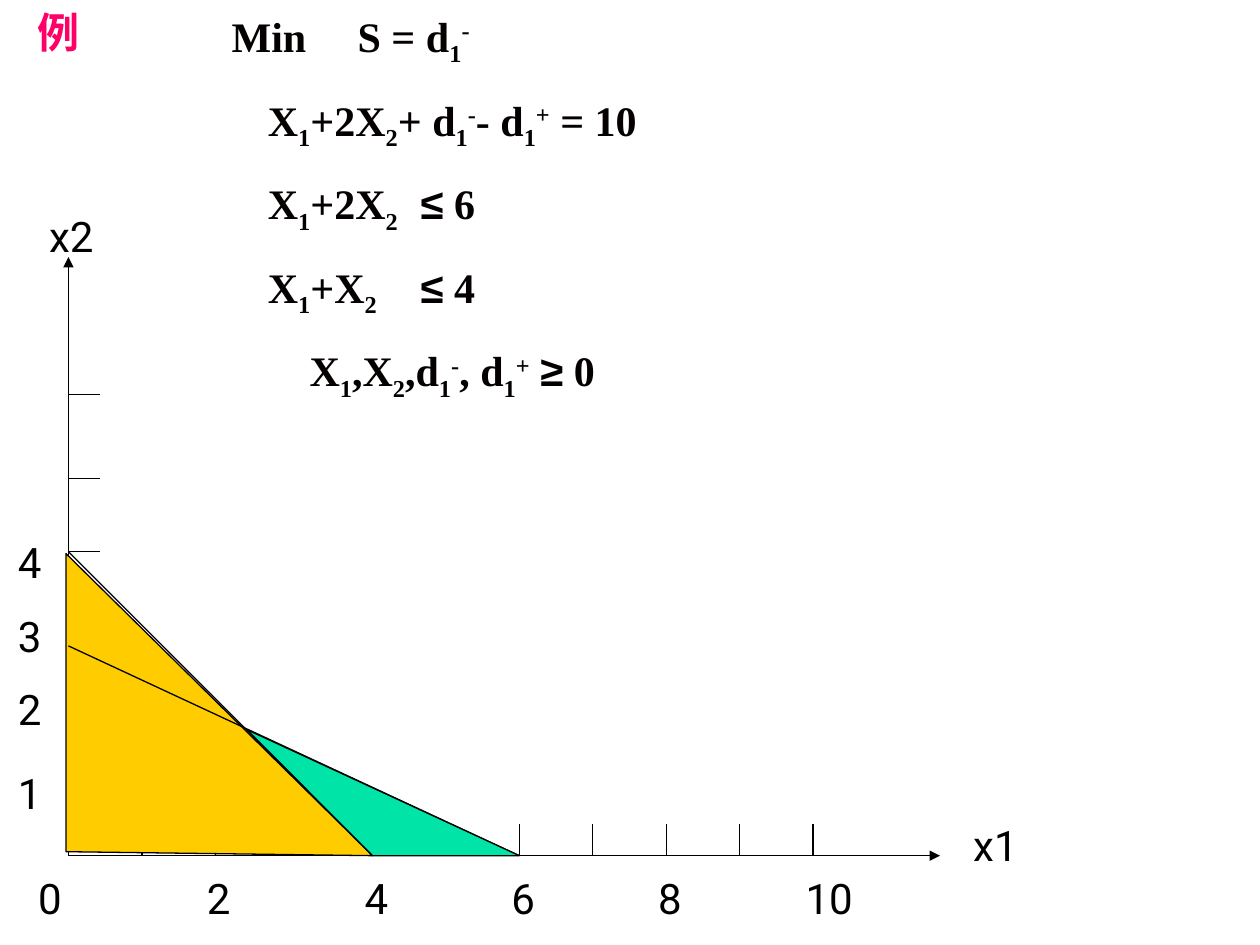
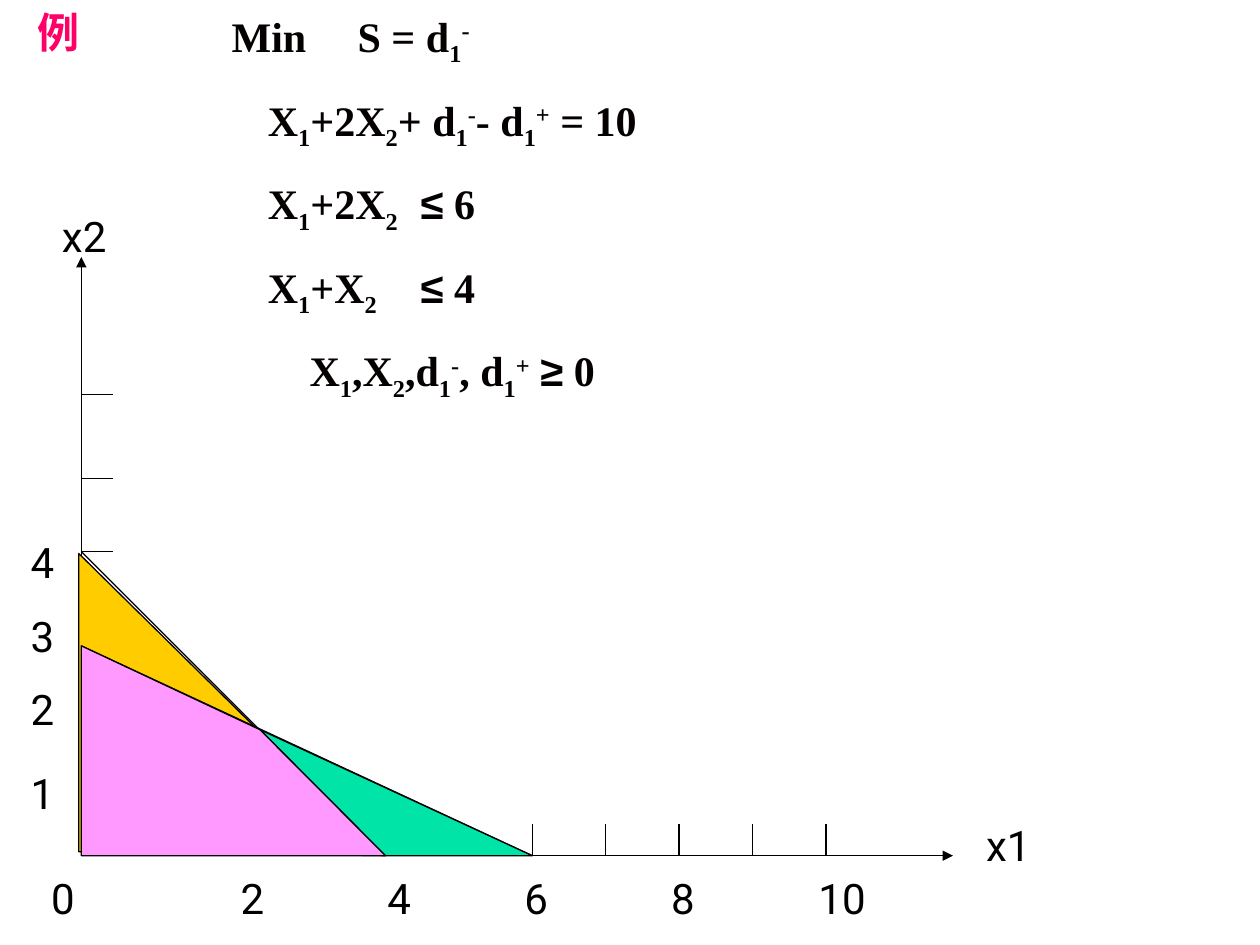
"""Builds two slides that solve a goal programming example graphically."""
from lxml import etree
from pptx import Presentation
from pptx import util as u
from pptx.dml import color
from pptx.enum import dml, shapes, text
from pptx.oxml import ns

BLACK, INK, PINK = "000000", "040000", "FF0066"
GOLD, GREEN, LILAC = "FFCC00", "00E4A8", "FF99FF"
LABEL_FONT, MATH_FONT, SIGN_FONT = "Roboto", "Times New Roman", "Arial"
FONT_SIZE = 24

TITLE = "例"
# "_" lowers and "^" raises the next character: (text, first-line indent, tab stop)
MODEL = [
    ("Min\tS = d_1^-", 0, 1.94),
    ("X_1+2X_2+ d_1^-- d_1^+ = 10", 0.73, None),
    ("X_1+2X_2\t≤ 6", 0.73, 6.27),
    ("X_1+X_2\t≤ 4", 0.73, 6.22),
    ("X_1,X_2,d_1^-, d_1^+ ≥ 0", 1.57, None),
]
BASELINES = {"_": "-25000", "^": "30000"}

AXIS_Y = 17.25
X_LENGTH, Y_LENGTH = 17.57, 12.07
TICK_STEP, TICK_LENGTH, TICK_SHIFT = 1.48, 0.64, 0.21
X_TICKS, Y_TICKS = 10, 6
X_SHIFTS, Y_SHIFTS = (4,), (4, 6)

AXIS_LABELS = [("x1", 17.99, -0.85, 1.48), ("x2", -0.64, -13.13, 1.69)]
Y_LABELS = [("1", -1.9), ("2", -3.6), ("3", -5.08), ("4", -6.56)]
X_NUMBERS = ["0", "2", "4", "6", "8", "10"]

# Plot points in centimetres to the right of and above the origin
CROSSING, SUM_END, WEIGHTED_END = (3.6, 2.54), (6.13, 0), (9.09, 0)
SUM_LINE = [(0, 6.13), SUM_END]
WEIGHTED_LINE = [(0, 4.23), WEIGHTED_END]
SUM_REGION = [(-0.05, 6.09), (-0.05, 0.08), SUM_END]
WEIGHTED_REGION = [CROSSING, WEIGHTED_END, SUM_END]
FEASIBLE_REGION = [(0, 4.23), (0, 0), SUM_END, CROSSING]

SLIDES = [
    {"origin": 1.38, "x_labels": [-0.86, 2.54, 5.72, 8.68, 11.64, 14.61], "feasible": False},
    {"origin": 1.64, "x_labels": [-0.86, 2.96, 5.92, 8.68, 11.64, 14.61], "feasible": True},
]


def paint(target, value):
    """Give a font or fill a solid colour from a hex string."""
    if hasattr(target, "solid"):
        target.solid()
        target.fore_color.rgb = color.RGBColor.from_string(value)
    else:
        target.color.rgb = color.RGBColor.from_string(value)


def style(font, name, value, bold=False):
    """Set the typeface, size, colour and weight of a font."""
    font.name, font.size, font.bold = name, u.Pt(FONT_SIZE), bold
    paint(font, value)


def place(shape, left, top, width, height):
    """Move and size a shape, in centimetres."""
    shape.left, shape.top = u.Cm(left), u.Cm(top)
    shape.width, shape.height = u.Cm(width), u.Cm(height)


def prepare_frame(shape):
    """Return a text frame with fixed insets, anchored at the top."""
    frame = shape.text_frame
    frame.margin_left = frame.margin_right = u.Cm(0.25)
    frame.margin_top = frame.margin_bottom = u.Cm(0.13)
    frame.vertical_anchor = text.MSO_ANCHOR.TOP
    frame.auto_size = text.MSO_AUTO_SIZE.NONE
    frame.word_wrap = True
    return frame


def set_layout(paragraph, indent, tab):
    """Drop the bullet and set the first-line indent and tab stop."""
    properties = paragraph._p.get_or_add_pPr()
    properties.set("marL", "0")
    properties.set("indent", str(u.Cm(indent)))
    etree.SubElement(properties, ns.qn("a:buNone"))
    if tab:
        tabs = etree.SubElement(properties, ns.qn("a:tabLst"))
        etree.SubElement(tabs, ns.qn("a:tab"), pos=str(u.Cm(tab)), algn="l")


def split_runs(source):
    """Split marked text into (text, mark) pieces."""
    pieces, mark = [], ""
    for character in source:
        if character in BASELINES:
            mark = character
            continue
        kind = mark or ("sign" if character in "≤≥" else "")
        if pieces and pieces[-1][1] == kind == "":
            pieces[-1] = (pieces[-1][0] + character, "")
        else:
            pieces.append((character, kind))
        mark = ""
    return pieces


def add_model(slide):
    """Fill the title and body placeholders with the example."""
    title, body = slide.shapes.title, slide.placeholders[1]
    place(title, 0.51, 0, 2.5, 1.4)
    paragraph = prepare_frame(title).paragraphs[0]
    paragraph.text = TITLE
    paragraph.alignment = text.PP_ALIGN.LEFT
    style(paragraph.font, MATH_FONT, PINK, True)

    place(body, 4.42, 0.08, 17.88, 8.1)
    frame = prepare_frame(body)
    for index, (source, indent, tab) in enumerate(MODEL):
        paragraph = frame.add_paragraph() if index else frame.paragraphs[0]
        set_layout(paragraph, indent, tab)
        paragraph.space_before = u.Pt(15 if index else 0)
        for piece, kind in split_runs(source):
            run = paragraph.add_run()
            run.text = piece
            style(run.font, SIGN_FONT if kind == "sign" else MATH_FONT, INK, True)
            if kind in BASELINES:
                run._r.get_or_add_rPr().set("baseline", BASELINES[kind])


class Plot:
    """Draws on a slide in centimetres from the origin of the axes."""

    def __init__(self, slide, origin):
        """Remember the shapes of the slide and the place of the y axis."""
        self.shapes, self.origin = slide.shapes, origin

    def point(self, position):
        """Turn a plot point into slide lengths."""
        return u.Cm(self.origin + position[0]), u.Cm(AXIS_Y - position[1])

    def outline(self, line):
        """Give a line the thin black style."""
        line.width = u.Pt(0.75)
        paint(line.fill, BLACK)

    def line(self, start, end, arrow=False):
        """Draw a straight line, with an arrowhead at its end if asked."""
        connector = self.shapes.add_connector(
            shapes.MSO_CONNECTOR.STRAIGHT, *self.point(start), *self.point(end))
        self.outline(connector.line)
        properties = connector._element.spPr
        if arrow:
            etree.SubElement(properties.find(ns.qn("a:ln")), ns.qn("a:tailEnd"), type="triangle")
        etree.SubElement(properties, ns.qn("a:effectLst"))

    def region(self, corners, fill):
        """Draw a filled polygon."""
        points = [self.point(corner) for corner in corners]
        builder = self.shapes.build_freeform(*points[0])
        builder.add_line_segments(points[1:], close=True)
        shape = builder.convert_to_shape()
        shape.shadow.inherit = False
        paint(shape.fill, fill)
        self.outline(shape.line)

    def label(self, caption, left, top, width=1.06):
        """Write an axis label; top counts downwards from the x axis."""
        box = self.shapes.add_textbox(
            u.Cm(self.origin + left), u.Cm(AXIS_Y + top), u.Cm(width), u.Cm(1.27))
        paragraph = prepare_frame(box).paragraphs[0]
        paragraph.text = caption
        style(paragraph.font, LABEL_FONT, BLACK)

    def axes(self, x_labels):
        """Draw both axes with their ticks and labels."""
        self.line((0, 0), (X_LENGTH, 0), True)
        self.line((0, 0), (0, Y_LENGTH), True)
        for offset in tick_offsets(X_TICKS, X_SHIFTS):
            self.line((offset, 0), (offset, TICK_LENGTH))
        for offset in tick_offsets(Y_TICKS, Y_SHIFTS):
            self.line((0, offset), (TICK_LENGTH, offset))
        for label in AXIS_LABELS:
            self.label(*label)
        for number, left in zip(X_NUMBERS, x_labels):
            self.label(number, left, 0.21, 1.48 if len(number) > 1 else 1.06)
        for number, top in Y_LABELS:
            self.label(number, -1.27, top)


def tick_offsets(count, shifts):
    """Return tick distances, a little wider at each shifted tick."""
    return [tick * TICK_STEP + TICK_SHIFT * sum(tick >= shift for shift in shifts)
            for tick in range(1, count + 1)]


def main():
    """Build and save the presentation."""
    presentation = Presentation()
    presentation.slide_width, presentation.slide_height = u.Cm(25.4), u.Cm(19.05)
    for content in SLIDES:
        slide = presentation.slides.add_slide(presentation.slide_layouts[1])
        add_model(slide)
        plot = Plot(slide, content["origin"])
        plot.axes(content["x_labels"])
        plot.line(*SUM_LINE)
        plot.region(SUM_REGION, GOLD)
        plot.line(*WEIGHTED_LINE)
        plot.region(WEIGHTED_REGION, GREEN)
        if content["feasible"]:
            plot.region(FEASIBLE_REGION, LILAC)
    presentation.save("out.pptx")


if __name__ == "__main__":
    main()
